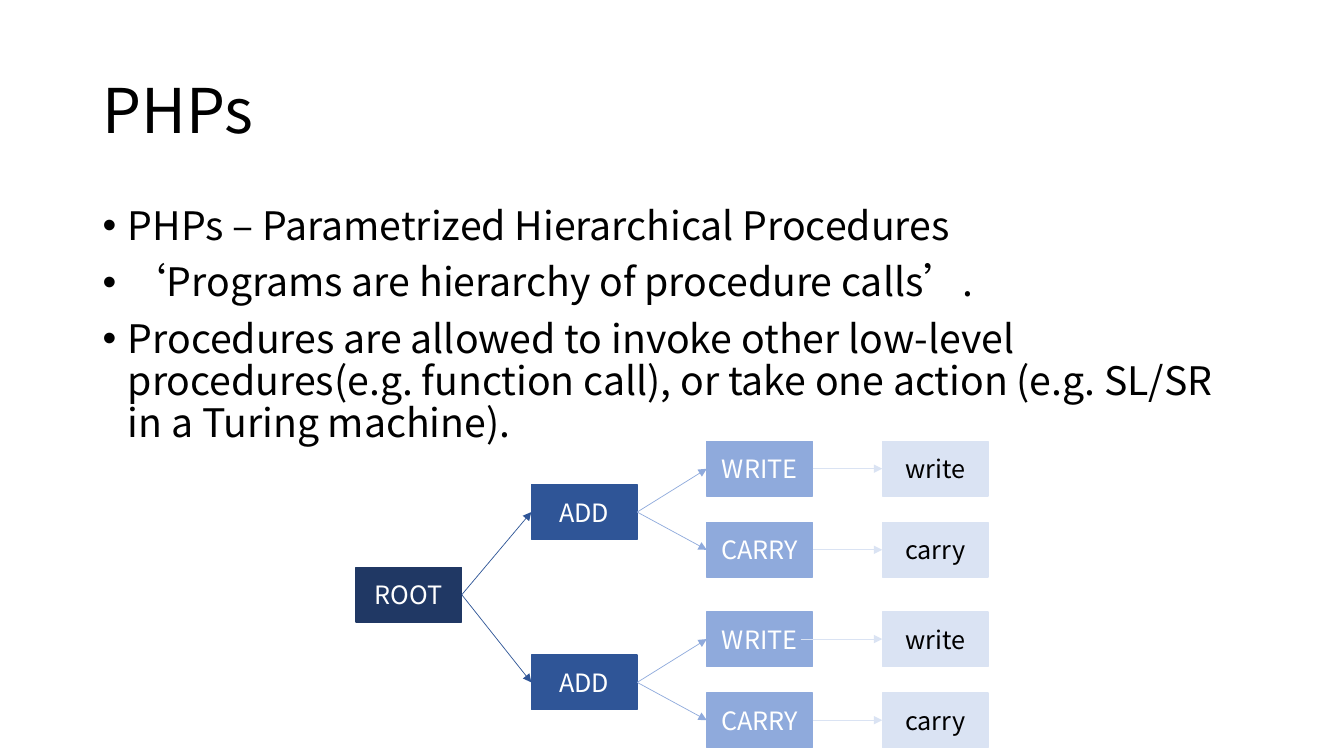
from lxml import etree
from pptx import Presentation
from pptx.dml.color import RGBColor
from pptx.enum.shapes import MSO_CONNECTOR, MSO_SHAPE
from pptx.enum.text import MSO_ANCHOR, PP_ALIGN
from pptx.oxml.ns import qn
from pptx.util import Inches, Pt

RECTANGLE = MSO_SHAPE.RECTANGLE
STRAIGHT = MSO_CONNECTOR.STRAIGHT
MIDDLE, TOP = MSO_ANCHOR.MIDDLE, MSO_ANCHOR.TOP
CENTER = PP_ALIGN.CENTER
FONT = "Noto Sans CJK SC"
BLACK, WHITE = "000000", "FFFFFF"
# Fill of each tree level, from root to action
ROOT_FILL, ADD_FILL, STEP_FILL, ACTION_FILL = "203864", "2F5597", "8FAADC", "DAE3F3"

NODE_WIDTH, NODE_HEIGHT = 1.05, 0.54
COLUMN_PITCH = 1.74
BRANCH_PITCH = 1.69
STEP_PITCH = 0.805
RIGHT_SITE, LEFT_SITE = 3, 1

BULLETS = [
    "PHPs – Parametrized Hierarchical Procedures",
    "‘Programs are hierarchy of procedure calls’.",
    "Procedures are allowed to invoke other low-level procedures"
    "(e.g. function call), or take one action (e.g. SL/SR in a Turing machine).",
]


def color(hex_string):
    return RGBColor.from_string(hex_string)


def format_runs(paragraph, size, hex_string):
    for run in paragraph.runs:
        run.font.size = Pt(size)
        run.font.name = FONT
        run.font.color.rgb = color(hex_string)
        east_asian = etree.SubElement(run._r.get_or_add_rPr(), qn("a:ea"))
        east_asian.set("typeface", FONT)


def add_text(slide, box, lines, size, anchor):
    shape = slide.shapes.add_textbox(*map(Inches, box))
    text_frame = shape.text_frame
    text_frame.word_wrap = True
    text_frame.vertical_anchor = anchor
    text_frame.text = "\n".join(lines)
    for paragraph in text_frame.paragraphs:
        paragraph.line_spacing = 0.9
        format_runs(paragraph, size, BLACK)
    return text_frame


def add_title(slide, box):
    add_text(slide, box, ["PHPs"], 44, MIDDLE)


def add_bullets(slide, box):
    text_frame = add_text(slide, box, BULLETS, 28, TOP)
    for paragraph in text_frame.paragraphs:
        paragraph.space_before = Pt(10)
        properties = paragraph._p.get_or_add_pPr()
        properties.set("marL", str(Inches(0.25)))
        properties.set("indent", str(-Inches(0.25)))
        etree.SubElement(properties, qn("a:buFont")).set("typeface", "Arial")
        etree.SubElement(properties, qn("a:buChar")).set("char", "•")


def add_node(slide, left, top, label, fill, text_color=WHITE):
    box = (left, top, NODE_WIDTH, NODE_HEIGHT)
    shape = slide.shapes.add_shape(RECTANGLE, *map(Inches, box))
    shape.shadow.inherit = False
    shape.fill.solid()
    shape.fill.fore_color.rgb = color(fill)
    shape.line.color.rgb = color(fill)
    shape.line.width = Pt(1)
    shape.text_frame.text = label
    shape.text_frame.vertical_anchor = MIDDLE
    paragraph = shape.text_frame.paragraphs[0]
    paragraph.alignment = CENTER
    format_runs(paragraph, 18, text_color)
    return shape


def add_arrow(slide, parent, child, hex_string, overlap=0):
    """Arrow from parent to child; overlap starts it inside the parent."""
    connector = slide.shapes.add_connector(STRAIGHT, 0, 0, 0, 0)
    if overlap:
        connector.begin_x = parent.left + parent.width - Inches(overlap)
        connector.begin_y = parent.top + parent.height // 2
    else:
        connector.begin_connect(parent, RIGHT_SITE)
    connector.end_connect(child, LEFT_SITE)
    connector.line.color.rgb = color(hex_string)
    connector.line.width = Pt(0.5)
    line = connector.line._get_or_add_ln()
    etree.SubElement(line, qn("a:tailEnd")).set("type", "triangle")
    etree.SubElement(connector._element.spPr, qn("a:effectLst"))


def add_call_tree(slide, left, top):
    columns = [left + level * COLUMN_PITCH for level in range(4)]
    arrows = []

    # Nodes
    root = add_node(slide, columns[0], top + 1.25, "ROOT", ROOT_FILL)
    for branch in range(2):
        branch_top = top + branch * BRANCH_PITCH
        add = add_node(slide, columns[1], branch_top + 0.43, "ADD", ADD_FILL)
        arrows.append((root, add, ADD_FILL))
        for index, label in enumerate(["WRITE", "CARRY"]):
            step_top = branch_top + index * STEP_PITCH
            step = add_node(slide, columns[2], step_top, label, STEP_FILL)
            action = add_node(slide, columns[3], step_top, label.lower(), ACTION_FILL, BLACK)
            # The second WRITE arrow starts inside its node
            overlap = 0.12 if (branch, index) == (1, 0) else 0
            arrows += [(add, step, STEP_FILL), (step, action, ACTION_FILL, overlap)]

    # Arrows lie above the nodes
    for arrow in arrows:
        add_arrow(slide, *arrow)


presentation = Presentation()
presentation.slide_width = Inches(13.33)
presentation.slide_height = Inches(7.5)
slide = presentation.slides.add_slide(presentation.slide_layouts[6])
add_title(slide, (0.92, 0.4, 11.5, 1.45))
add_bullets(slide, (0.92, 2, 11.5, 4.76))
add_call_tree(slide, 3.53, 4.38)
presentation.save("out.pptx")
